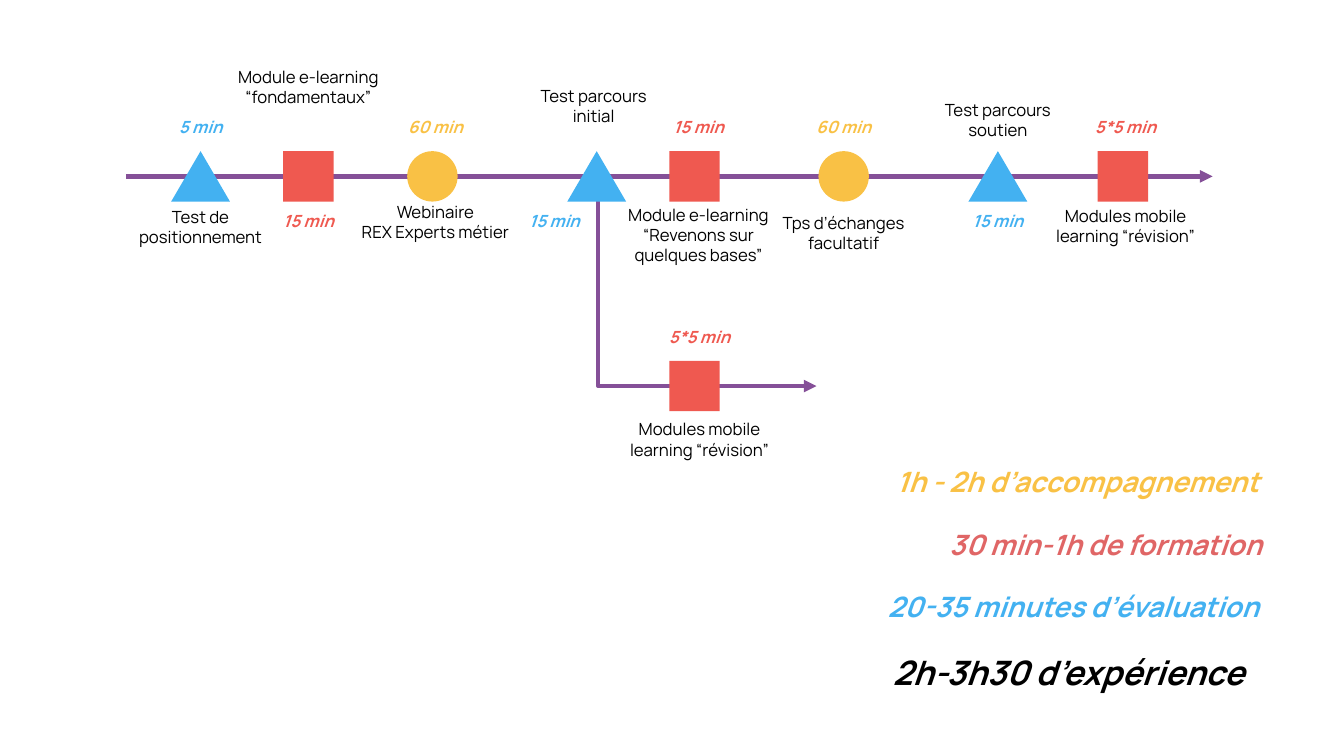
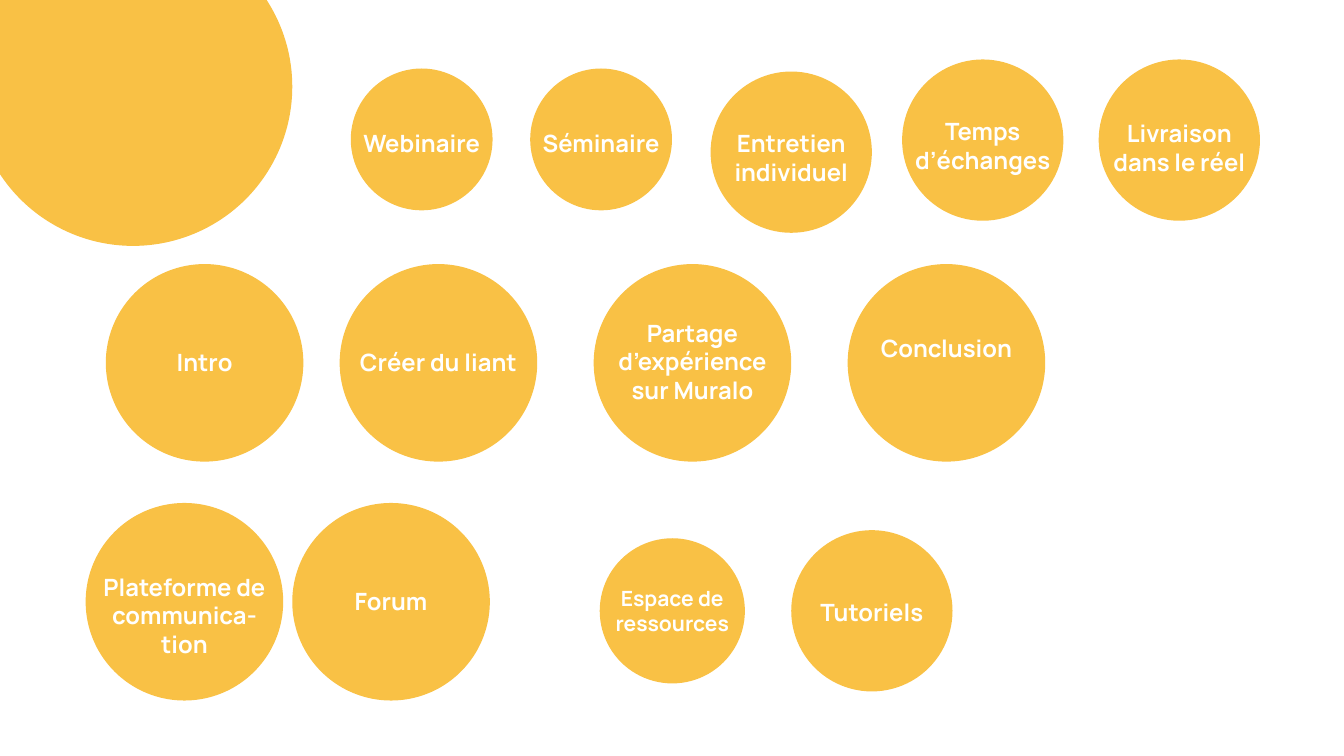
from collections import namedtuple

from lxml import etree
from pptx import Presentation
from pptx.dml.color import RGBColor
from pptx.enum.shapes import MSO_CONNECTOR as Connector, MSO_SHAPE as Preset
from pptx.enum.text import MSO_ANCHOR as Anchor, MSO_AUTO_SIZE as AutoSize, PP_ALIGN as Align
from pptx.oxml.ns import qn
from pptx.util import Emu, Inches, Pt

# The slide is a grid of 40 columns by 22.5 rows of square cells.
COLUMNS, ROWS = 40, 22.5
CELL = Inches(7.5) / ROWS

FONT = "Manrope"
COLORS = {
    "path": "855098",
    "training": "EF5950",
    "training_total": "E06666",
    "assessment": "43B1F1",
    "support": "F9C145",
    "text": "000000",
    "light": "FFFFFF",
}

Box = namedtuple("Box", "left top width height")
Step = namedtuple("Step", "kind x caption caption_top caption_width shift duration duration_shift",
                  defaults=(0,))
Bubble = namedtuple("Bubble", "text x y diameter text_top size", defaults=(17,))

MARKS = {
    "training": (Preset.RECTANGLE, 1.5),
    "assessment": (Preset.ISOSCELES_TRIANGLE, 1.75),
    "support": (Preset.OVAL, 1.5),
}
MARK_HEIGHT = 1.5
DURATION_WIDTH = 3.3
DURATION_ABOVE, DURATION_BELOW = -2.07, 0.72

MAIN_STEPS = [
    Step("assessment", 2.22, "Test de positionnement", 0.75, 4.62, 0, "5 min"),
    Step("training", 5.43, "Module e-learning\n“fondamentaux”", -3.42, 4.9, 0, "15 min"),
    Step("support", 9.12, "Webinaire\nREX Experts métier", 0.6, 6.36, 0.09, "60 min"),
    Step("assessment", 14.01, "Test parcours initial", -2.85, 3.96, -0.09, "15 min", -1.17),
    Step("training", 16.92, "Module e-learning\n“Revenons sur quelques bases”", 0.69, 4.9,
         0.12, "15 min"),
    Step("support", 21.36, "Tps d’échanges facultatif", 0.93, 4.9, 0, "60 min"),
    Step("assessment", 25.95, "Test parcours soutien", -2.43, 4.62, 0, "15 min"),
    Step("training", 29.67, "Modules mobile learning “révision”", 0.72, 4.9, 0.08, "5*5 min"),
]
BRANCH_STEPS = [
    Step("training", 9.36, "Modules mobile learning “révision”", 0.84, 4.9, 0.15, "5*5 min"),
]
# Text, colour, size, distance from the right edge of the box
TOTALS = [
    ("1h - 2h d’accompagnement", "support", 20, 0.09),
    ("30 min-1h de formation", "training_total", 20, 0),
    ("20-35 minutes d’évaluation", "assessment", 20, 0.09),
    ("2h-3h30 d’expérience", "text", 24, 0.54),
]

LARGE, MEDIUM, SMALL = 5.88, 4.8, 4.22
LIVE_FORMATS = [
    Bubble("Webinaire", 0, 0.27, SMALL, 1.65),
    Bubble("Séminaire", 5.34, 0.27, SMALL, 1.65),
    Bubble("Entretien individuel", 10.71, 0.36, MEDIUM, 1.56),
    Bubble("Temps d’échanges", 16.41, 0, MEDIUM, 1.56),
    Bubble("Livraison dans le réel", 22.26, 0, MEDIUM, 1.62),
]
SESSION_PARTS = [
    Bubble("Intro", 0, 0, LARGE, 2.34),
    Bubble("Créer du liant", 6.96, 0, LARGE, 2.34),
    Bubble("Partage d’expérience sur Muralo", 14.52, 0, LARGE, 1.47),
    Bubble("Conclusion", 22.08, 0, LARGE, 1.92),
]
ONLINE_SPACES = [
    Bubble("Plateforme de communica- tion", 0, 0, LARGE, 1.92),
    Bubble("Forum", 6.15, 0, LARGE, 2.34),
    Bubble("Espace de ressources", 15.3, 1.05, 4.32, 1.26, 15),
    Bubble("Tutoriels", 21, 0.81, MEDIUM, 1.86),
]


def cells(*counts):
    return [Emu(round(count * CELL)) for count in counts]


def color(name):
    return RGBColor.from_string(COLORS[name])


def add_mark(slide, preset, box, fill):
    shape = slide.shapes.add_shape(preset, *cells(*box))
    shape.shadow.inherit = False
    shape.fill.solid()
    shape.fill.fore_color.rgb = color(fill)
    shape.line.fill.background()


def add_text(slide, box, text, ink, size, align=Align.CENTER, bold=False, italic=False,
             inset=(0.3, 0.15)):
    """Place top-anchored text; inset is its side and top margin in cells."""
    frame = slide.shapes.add_textbox(*cells(*box)).text_frame
    frame.word_wrap = True
    frame.auto_size = AutoSize.SHAPE_TO_FIT_TEXT
    frame.vertical_anchor = Anchor.TOP
    side, top = cells(*inset)
    frame.margin_left = frame.margin_right = side
    frame.margin_top = frame.margin_bottom = top
    frame.text = text
    for paragraph in frame.paragraphs:
        paragraph.alignment = align
        for run in paragraph.runs:
            font = run.font
            font.name, font.size = FONT, Pt(size)
            font.bold, font.italic = bold, italic
            font.color.rgb = color(ink)


def add_arrow(slide, kind, box):
    """Draw an arrow from the top left to the bottom right of the box."""
    ends = cells(box.left, box.top, box.left + box.width, box.top + box.height)
    connector = slide.shapes.add_connector(kind, *ends)
    connector.line.color.rgb = color("path")
    connector.line.width = Pt(3)
    etree.SubElement(connector.line._get_or_add_ln(), qn("a:tailEnd"), type="triangle")
    etree.SubElement(connector._element.spPr, qn("a:effectLst"))


def add_step(slide, center, axis, step):
    """Place a mark on the axis, with caption and duration on opposite sides."""
    preset, width = MARKS[step.kind]
    add_mark(slide, preset, Box(center - width / 2, axis - MARK_HEIGHT / 2, width, MARK_HEIGHT),
             step.kind)

    label_center = center + step.shift
    caption_box = Box(label_center - step.caption_width / 2, axis + step.caption_top,
                      step.caption_width, 1.5)
    add_text(slide, caption_box, step.caption, "text", 12)

    duration_top = DURATION_ABOVE if step.caption_top > 0 else DURATION_BELOW
    duration_box = Box(label_center + step.duration_shift - DURATION_WIDTH / 2,
                       axis + duration_top, DURATION_WIDTH, 1.2)
    add_text(slide, duration_box, step.duration, step.kind, 12, bold=True, italic=True,
             inset=(0.3, 0.3))


def add_steps(slide, box, steps):
    """Place steps along the bottom edge of the box."""
    for step in steps:
        add_step(slide, box.left + step.x, box.top + box.height, step)


def add_totals(slide, box):
    row_height = box.height / len(TOTALS)
    for index, (text, ink, size, indent) in enumerate(TOTALS):
        line_box = Box(box.left, box.top + index * row_height, box.width - indent, 1.62)
        add_text(slide, line_box, text, ink, size, Align.RIGHT, bold=True, italic=True,
                 inset=(0.3, 0.3))


def add_bubbles(slide, left, top, bubbles):
    for bubble in bubbles:
        box = Box(left + bubble.x, top + bubble.y, bubble.diameter, bubble.diameter)
        add_mark(slide, Preset.OVAL, box, "support")
        text_box = box._replace(top=box.top + bubble.text_top, height=1.2)
        add_text(slide, text_box, bubble.text, "light", bubble.size, bold=True,
                 inset=(0.15, 0.15))


def build_path_slide(slide):
    main = Box(3.75, 5.25, 32.34, 0)
    branch = Box(11.31, 5.25, 12.99, 6.24)
    add_arrow(slide, Connector.STRAIGHT, main)
    add_arrow(slide, Connector.ELBOW, branch)
    add_steps(slide, main, MAIN_STEPS)
    add_steps(slide, branch, BRANCH_STEPS)
    add_totals(slide, Box(22.86, 13.53, 15, 7.44))


def build_support_slide(slide):
    add_mark(slide, Preset.OVAL, Box(-0.78, -2.16, 9.48, 9.48), "support")
    add_bubbles(slide, 10.44, 1.77, LIVE_FORMATS)
    add_bubbles(slide, 3.15, 7.86, SESSION_PARTS)
    add_bubbles(slide, 2.55, 14.97, ONLINE_SPACES)


def main():
    presentation = Presentation()
    presentation.slide_width, presentation.slide_height = cells(COLUMNS, ROWS)
    blank = presentation.slide_layouts[6]
    for build in (build_path_slide, build_support_slide):
        build(presentation.slides.add_slide(blank))
    presentation.save("out.pptx")


if __name__ == "__main__":
    main()
